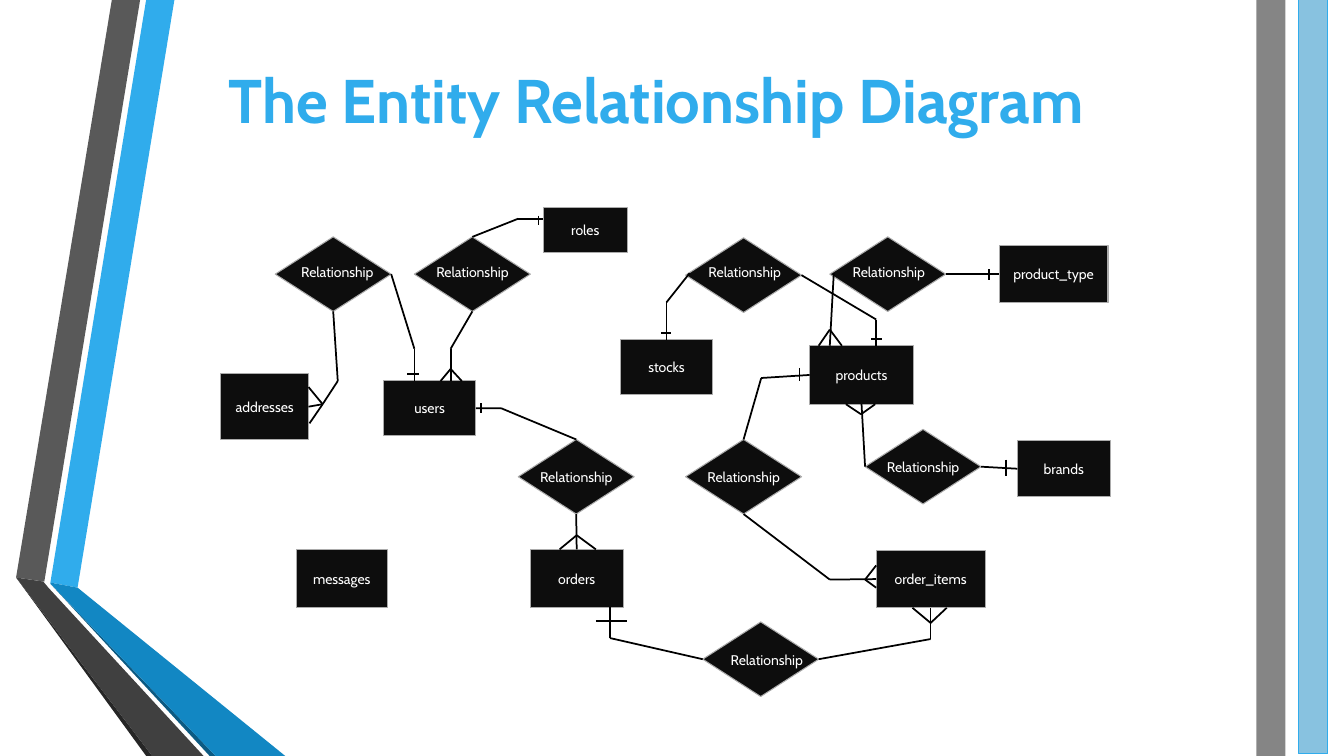
import pptx
import pptx.util
import pptx.dml.color
import pptx.enum.shapes
import pptx.enum.text
import pptx.oxml.ns
import lxml.etree

RGBColor = pptx.dml.color.RGBColor
Pt = pptx.util.Pt
SHAPE = pptx.enum.shapes.MSO_SHAPE
BLACK = RGBColor(0x00, 0x00, 0x00)
WHITE = RGBColor(0xFF, 0xFF, 0xFF)
INK = RGBColor(0x0D, 0x0D, 0x0D)
EDGE = RGBColor(0xAB, 0xAB, 0xAB)
SKY = RGBColor(0x30, 0xAC, 0xEC)
BLUE = RGBColor(0x12, 0x87, 0xC3)
NAVY = RGBColor(0x0C, 0x5A, 0x82)
GREY = RGBColor(0x59, 0x59, 0x59)
DARK_GREY = RGBColor(0x40, 0x40, 0x40)
CHARCOAL = RGBColor(0x26, 0x26, 0x26)

FONT = "Cabin"
TITLE = "The Entity Relationship Diagram"
TITLE_BOX = (2.05, 0.39, 8.92, 1.19)
LABEL = "Relationship"
DIAMOND_SIZE = (1.15, 0.74)
LABEL_SIZE = (1.09, 0.27)

RIBBONS = [
    (SKY, [(0.5, 5.78), (0.77, 5.83), (1.73, 0), (1.45, 0)]),
    (GREY, [(1.39, 0), (1.11, 0), (0.16, 5.73), (0.44, 5.77)]),
    (CHARCOAL, [(0.16, 5.73), (1.45, 7.5), (1.51, 7.5)]),
    (NAVY, [(0.5, 5.79), (2.08, 7.5), (2.14, 7.5)]),
    (BLUE, [(0.5, 5.79), (2.14, 7.5), (2.83, 7.5), (0.77, 5.83), (0.5, 5.78)]),
    (DARK_GREY, [(2.02, 7.5), (0.48, 5.83), (0.43, 5.77), (0.16, 5.73), (1.51, 7.5)]),
]
BARS = [
    ((12.88, -0.02, 0.29, 7.5), BLUE, SKY),
    ((12.46, 0, 0.29, 7.5), INK, None),
]
ENTITIES = {
    "addresses": (2.19, 3.71, 0.87, 0.65),
    "messages": (2.94, 5.45, 0.9, 0.58),
    "users": (3.8, 3.78, 0.92, 0.54),
    "roles": (5.39, 2.06, 0.83, 0.45),
    "orders": (5.26, 5.45, 0.92, 0.58),
    "stocks": (6.15, 3.37, 0.92, 0.54),
    "products": (8.03, 3.43, 1.03, 0.58),
    "product_type": (9.91, 2.44, 1.08, 0.56),
    "brands": (10.09, 4.37, 0.92, 0.56),
    "order_items": (8.69, 5.46, 1.08, 0.57),
}
RELATIONSHIPS = [
    ((2.73, 2.35), (2.8, 2.57)),
    ((4.11, 2.35), (4.14, 2.57)),
    ((5.14, 4.36), (5.17, 4.6)),
    ((8.23, 2.35), (8.27, 2.57)),
    ((6.8, 4.36), (6.83, 4.6)),
    ((6.8, 2.36), (6.84, 2.57)),
    ((8.58, 4.26), (8.61, 4.5)),
    ((6.97, 6.17), (7.06, 6.41)),
]
ROUTES = [
    [(3.31, 3.09), (3.35, 3.78), (3.2, 4.01)],
    [(3.89, 2.72), (4.11, 3.46), (4.11, 3.78)],
    [(4.68, 2.35), (5.14, 2.17), (5.39, 2.17)],
    [(4.68, 3.09), (4.47, 3.46), (4.47, 3.78)],
    [(4.72, 4.05), (4.97, 4.05), (5.72, 4.36)],
    [(5.72, 5.1), (5.72, 5.45)],
    [(6.05, 6.02), (6.05, 6.33), (6.97, 6.54)],
    [(8.12, 6.54), (9.23, 6.34), (9.23, 6.03)],
    [(7.38, 5.1), (8.23, 5.75), (8.69, 5.75)],
    [(6.84, 2.71), (6.61, 3), (6.61, 3.37)],
    [(7.93, 2.71), (8.69, 3.17), (8.69, 3.43)],
    [(8.27, 2.71), (8.23, 3.43)],
    [(9.39, 2.72), (9.91, 2.72)],
    [(8.54, 4.01), (8.58, 4.63)],
    [(9.73, 4.63), (10.09, 4.65)],
    [(7.38, 4.36), (7.55, 3.75), (8.03, 3.72)],
]
ONE_TICKS = [
    [(4.04, 3.71), (4.16, 3.71)],
    [(5.34, 2.14), (5.34, 2.23)],
    [(4.77, 4), (4.77, 4.1)],
    [(5.91, 6.16), (6.22, 6.16)],
    [(6.56, 3.3), (6.66, 3.3)],
    [(8.64, 3.36), (8.75, 3.36)],
    [(9.81, 2.67), (9.81, 2.78)],
    [(9.98, 4.56), (9.98, 4.72)],
    [(7.93, 3.65), (7.93, 3.78)],
]
MANY_FEET = [
    [(3.06, 3.84), (3.2, 4.01), (3.07, 4.2)],
    [(3.06, 4.04), (3.2, 4.01)],
    [(4.37, 3.78), (4.47, 3.66), (4.58, 3.78)],
    [(5.55, 5.45), (5.72, 5.31), (5.91, 5.45)],
    [(9.05, 6.03), (9.23, 6.18), (9.39, 6.03)],
    [(8.69, 5.61), (8.58, 5.75), (8.69, 5.83)],
    [(8.12, 3.43), (8.23, 3.27), (8.35, 3.43)],
    [(8.39, 4.01), (8.54, 4.11), (8.68, 4.01)],
]


def cm(inches):
    return pptx.util.Cm(inches * 2.54)


def paint(sp, fill, line=None):
    sp.shadow.inherit = False
    sp.fill.solid()
    sp.fill.fore_color.rgb = fill
    if line is None:
        sp.line.fill.background()
    else:
        sp.line.color.rgb = line
        sp.line.width = Pt(0.75)


def add_block(s, kind, box, fill, line=None):
    sp = s.shapes.add_shape(kind, *map(cm, box))
    paint(sp, fill, line)
    return sp


def write(sp, text, size, color, bold=False):
    tf = sp.text_frame
    tf.word_wrap = True
    tf.text = text
    p = tf.paragraphs[0]
    p.alignment = pptx.enum.text.PP_ALIGN.CENTER
    r = p.runs[0]
    r.font.name = FONT
    r.font.size = Pt(size)
    r.font.bold = bold
    r.font.color.rgb = color
    return tf


def find_side(point, nodes):
    for sp, (x, y, w, h) in nodes:
        sides = [(x + w / 2, y), (x, y + h / 2), (x + w / 2, y + h), (x + w, y + h / 2)]
        for i, (sx, sy) in enumerate(sides):
            if max(abs(sx - point[0]), abs(sy - point[1])) < 0.03:
                return sp, i
    return None


def add_segment(s, start, end, nodes):
    c = s.shapes.add_connector(
        pptx.enum.shapes.MSO_CONNECTOR.STRAIGHT, *map(cm, start + end))
    c.line.color.rgb = BLACK
    c.line.width = Pt(1.25)
    lxml.etree.SubElement(c._element.spPr, pptx.oxml.ns.qn("a:effectLst"))
    for point, join in ((start, c.begin_connect), (end, c.end_connect)):
        side = find_side(point, nodes)
        if side:
            join(*side)


def main():
    prs = pptx.Presentation()
    prs.slide_width, prs.slide_height = cm(13.33), cm(7.5)
    s = prs.slides.add_slide(prs.slide_layouts[6])

    for color, points in RIBBONS:
        corners = [(cm(x), cm(y)) for x, y in points]
        fb = s.shapes.build_freeform(*corners[0])
        fb.add_line_segments(corners[1:], close=True)
        paint(fb.convert_to_shape(), color)

    for box, fill, line in BARS:
        sp = add_block(s, SHAPE.RECTANGLE, box, fill, line)
        clr = sp._element.spPr.find(".//" + pptx.oxml.ns.qn("a:srgbClr"))
        lxml.etree.SubElement(clr, pptx.oxml.ns.qn("a:alpha"), val="50000")

    title = s.shapes.add_textbox(*map(cm, TITLE_BOX))
    tf = write(title, TITLE, 44, SKY, True)
    tf.vertical_anchor = pptx.enum.text.MSO_ANCHOR.MIDDLE

    nodes = []
    for name, box in ENTITIES.items():
        sp = add_block(s, SHAPE.RECTANGLE, box, INK, EDGE)
        tf = write(sp, name, 10, WHITE)
        tf.vertical_anchor = pptx.enum.text.MSO_ANCHOR.MIDDLE
        nodes.append((sp, box))
    for corner, _ in RELATIONSHIPS:
        box = corner + DIAMOND_SIZE
        nodes.append((add_block(s, SHAPE.FLOWCHART_DECISION, box, INK, EDGE), box))

    for points in ROUTES + ONE_TICKS + MANY_FEET:
        for start, end in zip(points, points[1:]):
            add_segment(s, start, end, nodes)

    for _, corner in RELATIONSHIPS:
        label = s.shapes.add_textbox(*map(cm, corner + LABEL_SIZE))
        tf = write(label, LABEL, 10, WHITE)
        tf.auto_size = pptx.enum.text.MSO_AUTO_SIZE.SHAPE_TO_FIT_TEXT

    prs.save("out.pptx")


if __name__ == "__main__":
    main()
